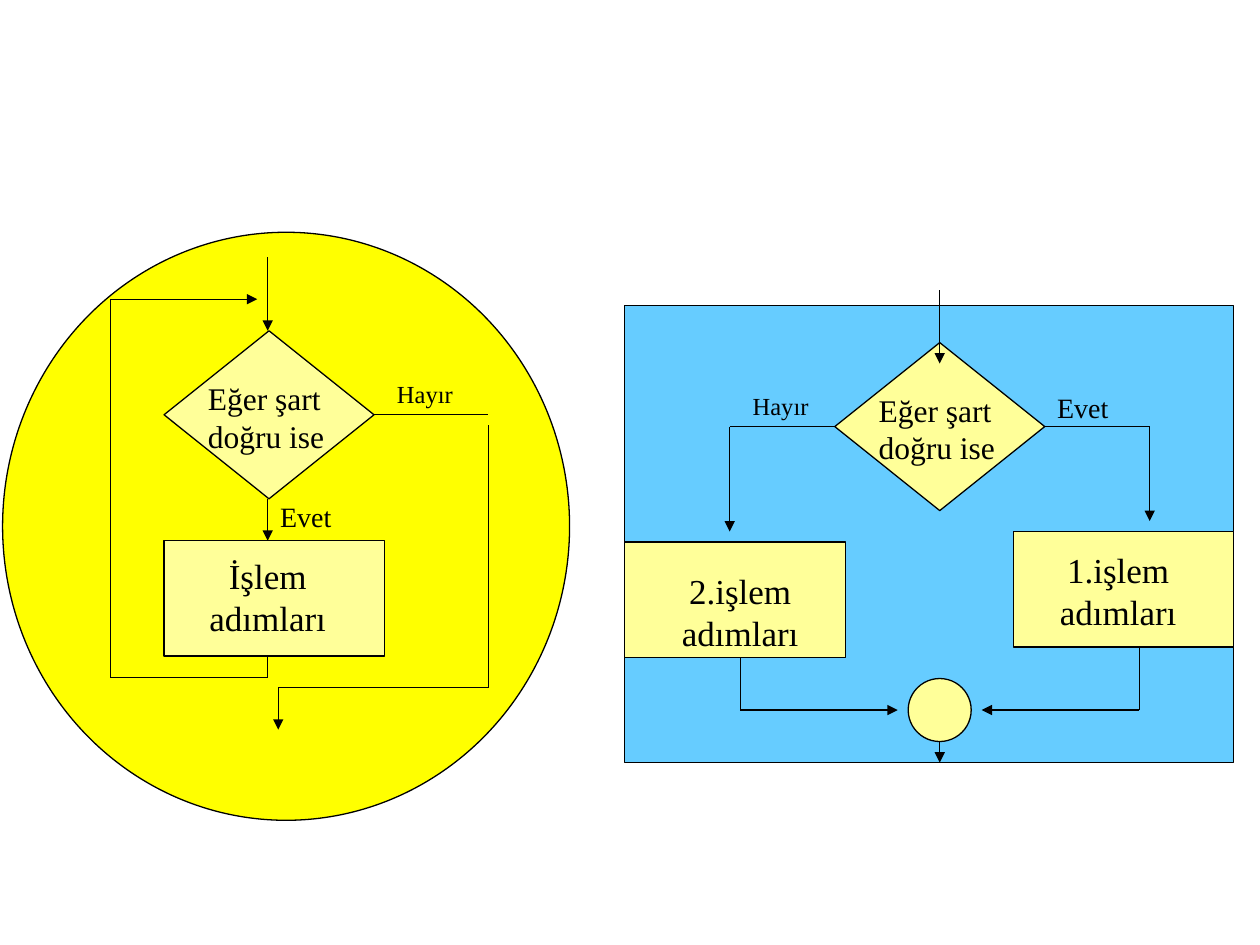
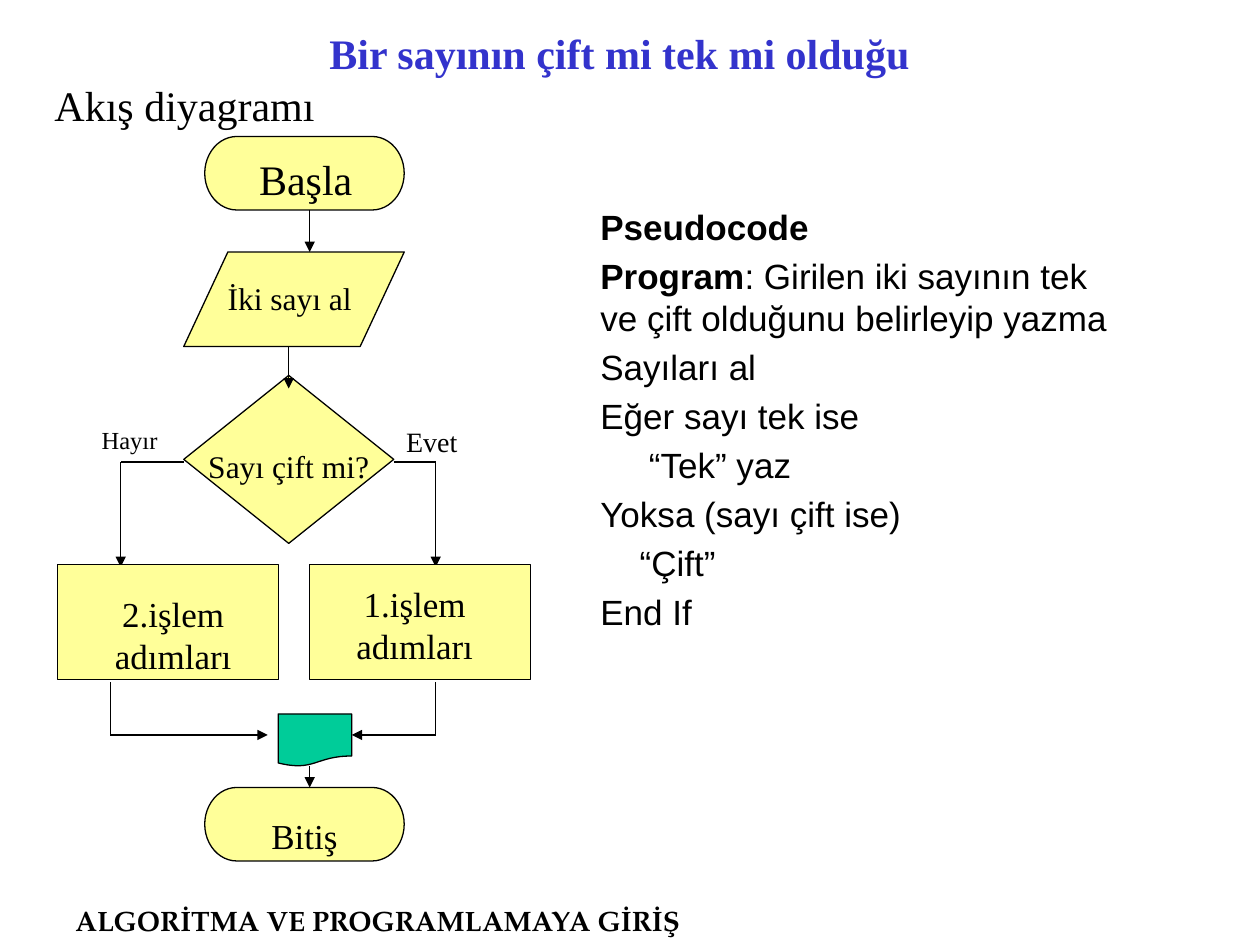
"""Build two slides of flow charts about decisions and loops."""
import pptx
import pptx.dml.color
import pptx.enum.shapes
import pptx.enum.text
import pptx.oxml.ns
import pptx.util
import lxml.etree

SHAPE = pptx.enum.shapes.MSO_SHAPE
ALIGN = pptx.enum.text.PP_ALIGN
COLUMNS, ROWS = 240, 180
SERIF, SANS, FOOTER_FONT = "Times New Roman", "Arial", "TeX Gyre Pagella"
BLACK, CREAM, YELLOW = "000000", "FFFF99", "FFFF00"
SKY, GREEN, TITLE_BLUE = "66CCFF", "00CC99", "3333CC"


def color(value):
    return pptx.dml.color.RGBColor.from_string(value)


class FlowDeck:
    def __init__(self):
        self.deck = pptx.Presentation()
        self.deck.slide_width = pptx.util.Inches(10)
        self.deck.slide_height = pptx.util.Inches(7.5)
        self.column = self.deck.slide_width / COLUMNS
        self.row = self.deck.slide_height / ROWS
        self.page = None

    def add_page(self):
        self.page = self.deck.slides.add_slide(self.deck.slide_layouts[6])

    def place(self, left, top, width, height):
        return (round(left * self.column), round(top * self.row),
                round(width * self.column), round(height * self.row))

    def shape(self, kind, area, fill=CREAM):
        box = self.page.shapes.add_shape(kind, *self.place(*area))
        box.shadow.inherit = False
        box.fill.solid()
        box.fill.fore_color.rgb = color(fill)
        box.line.color.rgb = color(BLACK)
        box.line.width = pptx.util.Pt(0.75)

    def text_frame(self, area):
        frame = self.page.shapes.add_textbox(*self.place(*area)).text_frame
        frame.word_wrap = True
        frame.auto_size = pptx.enum.text.MSO_AUTO_SIZE.SHAPE_TO_FIT_TEXT
        return frame

    def span(self, para, words, size, font=SERIF, bold=False, ink=BLACK):
        span = para.add_run()
        span.text = words
        span.font.size = pptx.util.Pt(size)
        span.font.name = font
        span.font.bold = bold
        span.font.color.rgb = color(ink)

    def text(self, words, area, size, align=ALIGN.LEFT, **style):
        para = self.text_frame(area).paragraphs[0]
        para.alignment = align
        self.span(para, words, size, **style)

    def listing(self, lines, area, size, gap):
        frame = self.text_frame(area)
        for index, (indent, spans) in enumerate(lines):
            para = frame.add_paragraph() if index else frame.paragraphs[0]
            para.space_before = pptx.util.Pt(gap)
            if indent:
                margin = round(indent * self.column)
                para._p.get_or_add_pPr().set("marL", str(margin))
            for words, bold in spans:
                self.span(para, words, size, font=SANS, bold=bold)

    def route(self, *points, arrow=True):
        for start, end in zip(points, points[1:]):
            line = self.page.shapes.add_connector(
                pptx.enum.shapes.MSO_CONNECTOR.STRAIGHT,
                *self.place(*start, *end))
            line.line.color.rgb = color(BLACK)
            line.line.width = pptx.util.Pt(0.75)
            qualify = pptx.oxml.ns.qn
            properties = line._element.spPr
            lxml.etree.SubElement(properties, qualify("a:effectLst"))
            if arrow and end == points[-1]:
                tail = lxml.etree.SubElement(
                    line.line._get_or_add_ln(), qualify("a:tailEnd"))
                tail.set("type", "triangle")

    def decision(self, left, top):
        self.shape(SHAPE.FLOWCHART_DECISION, (left, top, 40, 32))

    def condition(self, left, top):
        self.decision(left, top)
        self.text("Eğer şart doğru ise", (left + 6, top + 8, 30, 16.75), 18)

    def process(self, words, left, top, shift, drop):
        self.shape(SHAPE.RECTANGLE, (left, top, 42, 22))
        self.text(words, (left + shift, top + drop, 36, 18.5), 20,
                  ALIGN.CENTER)

    def yes(self, left, top):
        self.text("Evet", (left, top, 26, 9), 16)

    def no(self, left, top):
        self.text("Hayır", (left, top, 16, 8), 14)

    def terminator(self, top):
        self.shape(SHAPE.FLOWCHART_TERMINATOR, (39, top, 38, 14))


def draw_loop(flow):
    flow.shape(SHAPE.OVAL, (0.5, 44.25, 108, 112), YELLOW)
    flow.condition(31.25, 63)
    flow.process("İşlem adımları", 31.25, 103, 1.75, 1.5)
    flow.route((51, 49), (51, 63))
    flow.route((51, 95), (51, 103))
    flow.route((71, 79), (93, 79), arrow=False)
    flow.route((93, 81), (93, 131), (53, 131), (53, 139))
    flow.route((51, 125), (51, 129), (21, 129), (21, 57), (49, 57))
    flow.yes(51, 94)
    flow.no(73.25, 71)


def draw_choice(flow):
    flow.shape(SHAPE.RECTANGLE, (119, 58.25, 116, 87), SKY)
    flow.condition(159, 65.25)
    flow.process("2.işlem adımları", 119, 103.25, 4, 4)
    flow.process("1.işlem adımları", 193, 101.25, 2, 2)
    flow.shape(SHAPE.OVAL, (173, 129.25, 12, 12))
    flow.route((179, 55.25), (179, 69.25))
    flow.route((159, 81.25), (139, 81.25), (139, 101.25))
    flow.route((199, 81.25), (219, 81.25), (219, 99.25))
    flow.route((141, 125.25), (141, 135.25), (171, 135.25))
    flow.route((217, 123.25), (217, 135.25), (187, 135.25))
    flow.route((179, 141.25), (179, 145.25))
    flow.no(141, 73.25)
    flow.yes(199, 73.25)


def draw_parity_chart(flow):
    flow.terminator(26)
    flow.text("Başla", (47, 28, 30, 12), 24)
    flow.shape(SHAPE.FLOWCHART_DATA, (35, 48, 42, 18))
    flow.text("İki sayı al", (41, 52, 30, 9.5), 18)
    flow.decision(35, 71.5)
    flow.text("Sayı çift mi?", (37, 84, 36, 9.5), 18, ALIGN.CENTER)
    flow.route((59, 40), (59, 48))
    flow.route((55, 66), (55, 74))
    flow.route((35, 88), (23, 88), (23, 108))
    flow.route((75, 88), (83, 88), (83, 108))
    flow.no(17, 79.75)
    flow.yes(75, 79.75)
    flow.process("2.işlem adımları", 11, 107.5, 4, 4.25)
    flow.process("1.işlem adımları", 59, 107.5, 2, 2.25)
    flow.shape(SHAPE.FLOWCHART_DOCUMENT, (53, 136, 14, 10), GREEN)
    flow.route((21, 130), (21, 140), (51, 140))
    flow.route((83, 130), (83, 140), (67, 140))
    flow.route((59, 146), (59, 150))
    flow.terminator(150)
    flow.text("Bitiş", (41, 154, 34, 10.25), 20, ALIGN.CENTER)


def draw_parity_text(flow):
    flow.text("ALGORİTMA VE PROGRAMLAMAYA GİRİŞ", (12, 171, 212.5, 9), 16,
              font=FOOTER_FONT, bold=True)
    flow.text("Bir sayının çift mi tek mi olduğu", (32, 4, 172, 12), 24,
              ALIGN.CENTER, bold=True, ink=TITLE_BLUE)
    flow.text("Akış diyagramı", (8, 14, 90, 12), 24)
    pseudocode = [
        (0, [("Pseudocode", True)]),
        (0, [("Program", True),
             (": Girilen iki sayının tek ve çift olduğunu belirleyip yazma",
              False)]),
        (0, [("Sayıları al", False)]),
        (0, [("Eğer sayı tek ise", False)]),
        (9.25, [("“Tek” yaz", False)]),
        (0, [("Yoksa (sayı çift ise)", False)]),
        (7.5, [("“Çift”", False)]),
        (0, [("End If", False)]),
    ]
    flow.listing(pseudocode, (112, 38, 106, 85.5), 20, 4)


def main():
    flow = FlowDeck()
    flow.add_page()
    draw_loop(flow)
    draw_choice(flow)
    flow.add_page()
    draw_parity_text(flow)
    draw_parity_chart(flow)
    flow.deck.save("out.pptx")


if __name__ == "__main__":
    main()
